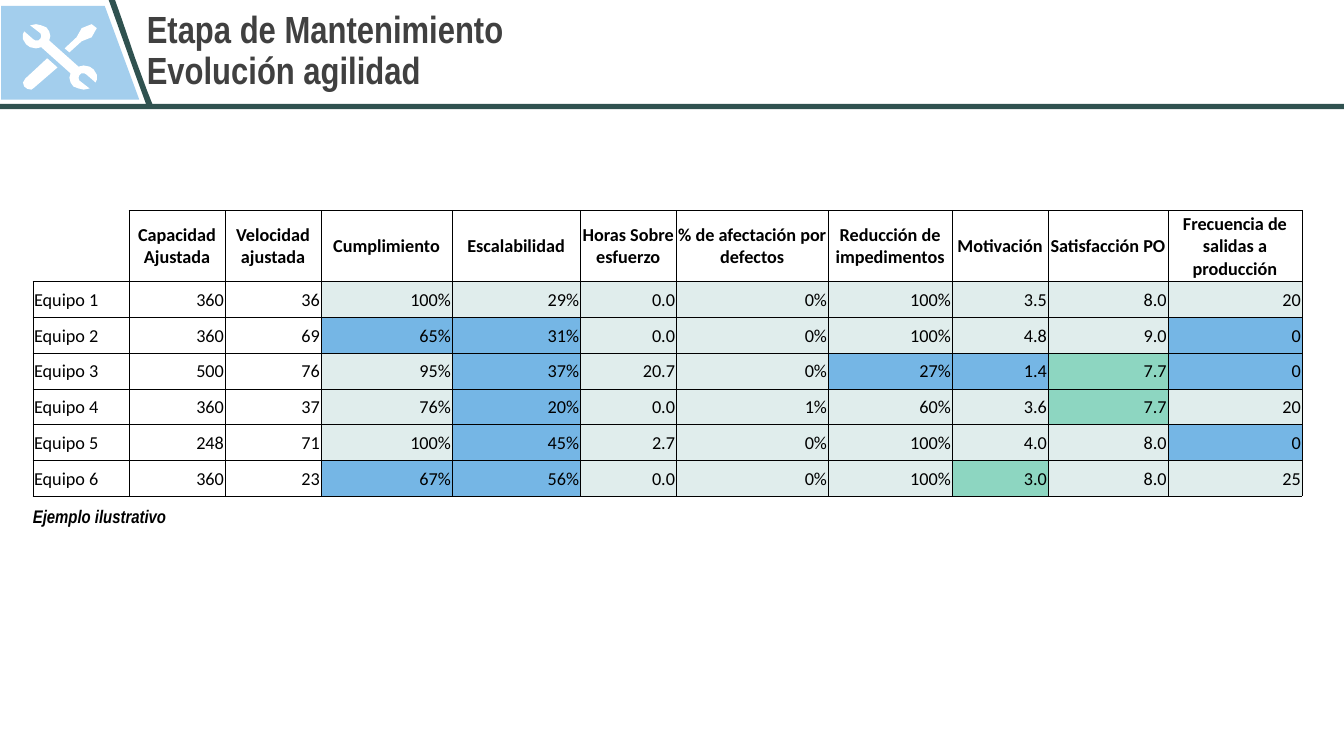
import pptx
import pptx.util
import pptx.dml.color
import pptx.enum.shapes
import pptx.enum.text
import pptx.oxml
import pptx.oxml.ns

Cm = pptx.util.Cm
Pt = pptx.util.Pt
RGBColor = pptx.dml.color.RGBColor
ALIGN = pptx.enum.text.PP_ALIGN
ANCHOR = pptx.enum.text.MSO_ANCHOR

WHITE = RGBColor(0xFF, 0xFF, 0xFF)
BLACK = RGBColor(0x00, 0x00, 0x00)
GRAY = RGBColor(0x40, 0x40, 0x40)
SKY = RGBColor(0xA3, 0xCE, 0xED)
PINE = RGBColor(0x30, 0x52, 0x50)
PALE = RGBColor(0xE0, 0xED, 0xEC)
BLUE = RGBColor(0x75, 0xB6, 0xE5)
MINT = RGBColor(0x8D, 0xD6, 0xC1)

PANEL = [(3, 15), (264, 15), (351, 251), (3, 251)]
SLASH = [(274, 0), (290, 0), (307, 48), (340, 145), (371, 229), (384, 262),
         (368, 262), (340, 185)]
HANDLE = [(119, 147), (145, 170), (86, 221), (79, 226), (69, 224), (61, 218),
          (58, 208), (64, 198)]
DRIVER = [(231, 61), (244, 71), (231, 94), (206, 104), (175, 132), (163, 122),
          (193, 94), (206, 71)]
JAW = [(104, 119), (91, 122), (76, 119), (66, 112), (58, 99), (58, 86), (61, 79),
       (84, 99), (89, 102), (97, 102), (102, 97), (104, 91), (102, 84), (76, 64),
       (91, 61), (104, 64), (117, 69), (124, 79), (127, 91), (124, 102)]
WRENCH = JAW + [(302 - x, 287 - y) for x, y in JAW]

WIDTHS = [2.42, 2.42, 2.42, 3.3, 3.23, 2.42, 3.83, 3.12, 2.42, 3.02, 3.38]
HEIGHTS = [1.8] + [0.9] * 6
ROWS = [
    ["", "Capacidad Ajustada", "Velocidad ajustada", "Cumplimiento", "Escalabilidad",
     "Horas Sobre esfuerzo", "% de afectación por defectos", "Reducción de impedimentos",
     "Motivación", "Satisfacción PO", "Frecuencia de salidas a producción"],
    ["Equipo 1", "360", "36", "100%", "29%", "0.0", "0%", "100%", "3.5", "8.0", "20"],
    ["Equipo 2", "360", "69", "65%", "31%", "0.0", "0%", "100%", "4.8", "9.0", "0"],
    ["Equipo 3", "500", "76", "95%", "37%", "20.7", "0%", "27%", "1.4", "7.7", "0"],
    ["Equipo 4", "360", "37", "76%", "20%", "0.0", "1%", "60%", "3.6", "7.7", "20"],
    ["Equipo 5", "248", "71", "100%", "45%", "2.7", "0%", "100%", "4.0", "8.0", "0"],
    ["Equipo 6", "360", "23", "67%", "56%", "0.0", "0%", "100%", "3.0", "8.0", "25"],
]
ALERTS = {2: [3, 4, 10], 3: [4, 7, 8, 10], 4: [4], 5: [4, 10], 6: [3, 4]}
NOTICES = {3: [9], 4: [9], 6: [8]}


def write(frame, text, size=13, face="Calibri", color=BLACK, bold=False,
          slant=False, align=ALIGN.LEFT, space=None):
    frame.word_wrap = True
    line = frame.paragraphs[0]
    line.text = text
    line.alignment = align
    if space:
        line.line_spacing = space
    font = line.font
    font.size = Pt(size)
    font.name = face
    font.bold = bold
    font.italic = slant
    font.color.rgb = color


def tint(row, col):
    if row == 0 or col < 3:
        return WHITE
    if col in ALERTS.get(row, []):
        return BLUE
    if col in NOTICES.get(row, []):
        return MINT
    return PALE


class Deck:
    def __init__(self):
        self.show = pptx.Presentation()
        self.show.slide_width = Cm(33.87)
        self.show.slide_height = Cm(19.05)
        self.slide = self.show.slides.add_slide(self.show.slide_layouts[5])
        self.shapes = self.slide.shapes

    def paint(self, shape, color):
        shape.shadow.inherit = False
        shape.fill.solid()
        shape.fill.fore_color.rgb = color
        shape.line.fill.background()

    def outline(self, points, color):
        pen = self.shapes.build_freeform(*points[0], scale=Cm(0.01))
        pen.add_line_segments(points[1:], close=True)
        self.paint(pen.convert_to_shape(), color)

    def bar(self, left, top, width, height, color):
        kind = pptx.enum.shapes.MSO_SHAPE.RECTANGLE
        shape = self.shapes.add_shape(kind, Cm(left), Cm(top), Cm(width), Cm(height))
        self.paint(shape, color)

    def title(self, text, left, top, width, height):
        shape = self.shapes.title
        shape.left, shape.top = Cm(left), Cm(top)
        shape.width, shape.height = Cm(width), Cm(height)
        frame = shape.text_frame
        frame.auto_size = pptx.enum.text.MSO_AUTO_SIZE.NONE
        frame.vertical_anchor = ANCHOR.MIDDLE
        frame.margin_left = Cm(0.47)
        write(frame, text, size=27, face="Arial Narrow", color=GRAY, bold=True, space=0.9)

    def note(self, text, left, top, width, height):
        box = self.shapes.add_textbox(Cm(left), Cm(top), Cm(width), Cm(height))
        write(box.text_frame, text, face="Arial Narrow", bold=True, slant=True)

    def border(self, cell, sides):
        props = cell._tc.get_or_add_tcPr()
        for side in sides:
            props.append(pptx.oxml.parse_xml(
                f'<a:ln{side} {pptx.oxml.ns.nsdecls("a")} w="6350"><a:solidFill>'
                f'<a:srgbClr val="{BLACK}"/></a:solidFill></a:ln{side}>'))

    def table(self, left, top):
        frame = self.shapes.add_table(len(ROWS), len(WIDTHS), Cm(left), Cm(top),
                                      Cm(sum(WIDTHS)), Cm(sum(HEIGHTS)))
        grid = frame.table
        grid.first_row = False
        grid.horz_banding = False
        for column, width in zip(grid.columns, WIDTHS):
            column.width = Cm(width)
        for band, height in zip(grid.rows, HEIGHTS):
            band.height = Cm(height)
        for row, texts in enumerate(ROWS):
            for col, text in enumerate(texts):
                self.fill(grid.cell(row, col), text, row, col)

    def fill(self, cell, text, row, col):
        cell.margin_left = cell.margin_right = cell.margin_top = Cm(0.03)
        cell.margin_bottom = 0
        cell.vertical_anchor = ANCHOR.MIDDLE
        if not text:
            self.border(cell, "RB")
            cell.fill.background()
            return
        self.border(cell, "LRTB")
        cell.fill.solid()
        cell.fill.fore_color.rgb = tint(row, col)
        align = ALIGN.CENTER if row == 0 else ALIGN.RIGHT if col else ALIGN.LEFT
        write(cell.text_frame, text, bold=row == 0, align=align)


def main():
    deck = Deck()
    deck.outline(PANEL, SKY)
    deck.bar(0, 2.62, 33.87, 0.13, PINE)
    deck.outline(SLASH, PINE)
    for part in (HANDLE, DRIVER, WRENCH):
        deck.outline(part, WHITE)
    deck.title("Etapa de Mantenimiento\vEvolución agilidad", 3.23, 0, 23.55, 2.62)
    deck.table(0.83, 5.3)
    deck.note("Ejemplo ilustrativo", 0.58, 12.62, 26.97, 0.81)
    deck.show.save("out.pptx")


if __name__ == "__main__":
    main()
